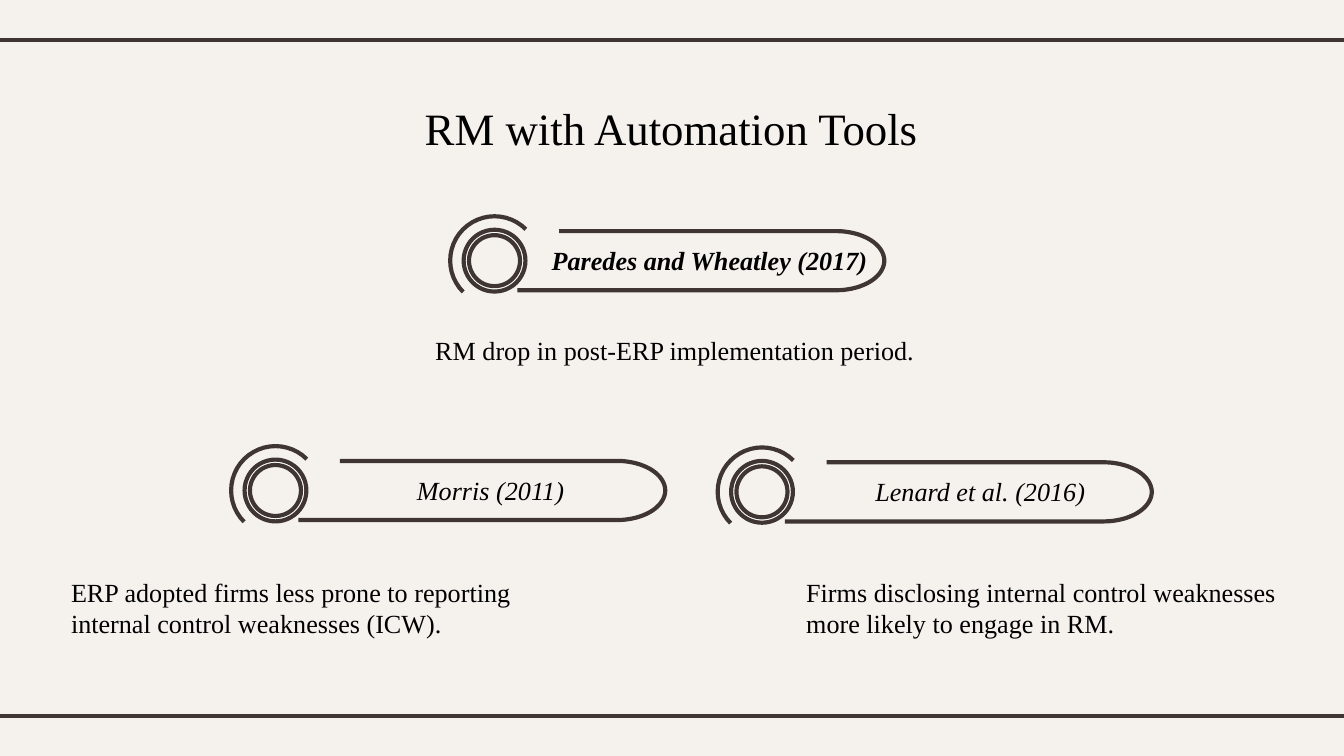
import math

from lxml import etree
from pptx import Presentation
from pptx.dml.color import RGBColor
from pptx.enum.shapes import MSO_CONNECTOR, MSO_SHAPE
from pptx.enum.text import PP_ALIGN
from pptx.oxml.ns import qn
from pptx.util import Inches, Pt

LEFT, CENTER = PP_ALIGN.LEFT, PP_ALIGN.CENTER
STRAIGHT = MSO_CONNECTOR.STRAIGHT
DONUT, ARC = MSO_SHAPE.DONUT, MSO_SHAPE.ARC

WIDTH = 10
HEIGHT = WIDTH * 9 / 16
COLORS = {"background": "F5F2EE", "line": "3F3533", "text": "000000", "ring": "FFFFFF"}
LINE_WIDTH = 2.25
BODY = {"name": "Times New Roman", "size": Pt(14)}
TITLE = {**BODY, "size": Pt(24)}
CITATION = {**BODY, "italic": True}
KEY_CITATION = {**CITATION, "bold": True}

RING_RADIUS, RING_BAND, ARC_RADIUS = 0.23, 0.04, 0.33
BANNER_HALF_HEIGHT, BANNER_CAP = 0.22, 0.36
BANNER_BOTTOM_START, BANNER_TOP_START, BANNER_STRAIGHT_END = 0.17, 0.48, 2.54
LABEL_OFFSET, LABEL_WIDTH, LINE_BOX = 0.26, 2.73, 0.34
CAP_STEPS = 48

# Ring centre, label, label format
BADGES = [
    (3.68, 1.94, "Paredes and Wheatley (2017) ", KEY_CITATION),
    (5.67, 3.66, "Lenard et al. (2016)", CITATION),
    (2.05, 3.65, "Morris (2011) ", CITATION),
]
FINDINGS = [
    ((3.14, 2.44, 3.8, LINE_BOX), "RM drop in post-ERP implementation period."),
    ((0.43, 4.24, 3.75, 0.57),
     "ERP adopted firms less prone to reporting internal control weaknesses (ICW)."),
    ((5.9, 4.24, 3.75, 0.57),
     "Firms disclosing internal control weaknesses \nmore likely to engage in RM."),
]


def color(name):
    return RGBColor.from_string(COLORS[name])


def style_line(shape):
    shape.line.color.rgb = color("line")
    shape.line.width = Pt(LINE_WIDTH)


def add_rule(slide, y):
    """Draw a line across the full slide width, running just past both edges."""
    rule = slide.shapes.add_connector(
        STRAIGHT, Inches(-0.08), Inches(y), Inches(WIDTH + 0.08), Inches(y))
    style_line(rule)
    etree.SubElement(rule._element.spPr, qn("a:effectLst"))


def add_text(slide, box, text, font_values, alignment=LEFT, inset=0.05):
    shape = slide.shapes.add_textbox(*map(Inches, box))
    frame = shape.text_frame
    frame.word_wrap = True
    frame.margin_top = frame.margin_bottom = Inches(inset)
    paragraph = frame.paragraphs[0]
    paragraph.text = text
    paragraph.alignment = alignment
    for run in paragraph.runs:
        for name, value in font_values.items():
            setattr(run.font, name, value)
        run.font.color.rgb = color("text")


def add_round_shape(slide, kind, x, y, radius, adjustments):
    shape = slide.shapes.add_shape(
        kind, Inches(x - radius), Inches(y - radius), Inches(2 * radius), Inches(2 * radius))
    for index, value in enumerate(adjustments):
        shape.adjustments[index] = value
    shape.shadow.inherit = False
    style_line(shape)
    return shape


def add_banner(slide, x, y):
    """Draw the open outline that closes in a half ellipse on the right."""
    points = [(BANNER_BOTTOM_START, BANNER_HALF_HEIGHT)]
    for step in range(CAP_STEPS + 1):
        angle = math.pi * (0.5 - step / CAP_STEPS)
        points.append((BANNER_STRAIGHT_END + BANNER_CAP * math.cos(angle),
                       BANNER_HALF_HEIGHT * math.sin(angle)))
    points.append((BANNER_TOP_START, -BANNER_HALF_HEIGHT))
    start, *rest = [(Inches(x + dx), Inches(y + dy)) for dx, dy in points]
    builder = slide.shapes.build_freeform(*start)
    builder.add_line_segments(rest, close=False)
    banner = builder.convert_to_shape()
    banner.shadow.inherit = False
    banner.fill.background()
    style_line(banner)


def add_badge(slide, x, y, label, font_values):
    add_banner(slide, x, y)
    ring = add_round_shape(slide, DONUT, x, y, RING_RADIUS, [RING_BAND / (2 * RING_RADIUS)])
    ring.fill.solid()
    ring.fill.fore_color.rgb = color("ring")
    # Arc angles are 60000ths of a degree, adjustments are 100000ths
    arc = add_round_shape(slide, ARC, x, y, ARC_RADIUS, [135 * 0.6, 315 * 0.6])
    arc.fill.background()
    box = (x + LABEL_OFFSET, y - LINE_BOX / 2, LABEL_WIDTH, LINE_BOX)
    add_text(slide, box, label, font_values, CENTER)


def main():
    presentation = Presentation()
    presentation.slide_width, presentation.slide_height = Inches(WIDTH), Inches(HEIGHT)
    slide = presentation.slides.add_slide(presentation.slide_layouts[6])
    slide.background.fill.solid()
    slide.background.fill.fore_color.rgb = color("background")
    for y in (0.3, 5.33):
        add_rule(slide, y)
    add_text(slide, (1.52, 0.65, 7.03, 0.54), "RM with Automation Tools ", TITLE,
             CENTER, inset=0.1)
    for badge in BADGES:
        add_badge(slide, *badge)
    for box, text in FINDINGS:
        add_text(slide, box, text, BODY)
    presentation.save("out.pptx")


if __name__ == "__main__":
    main()
